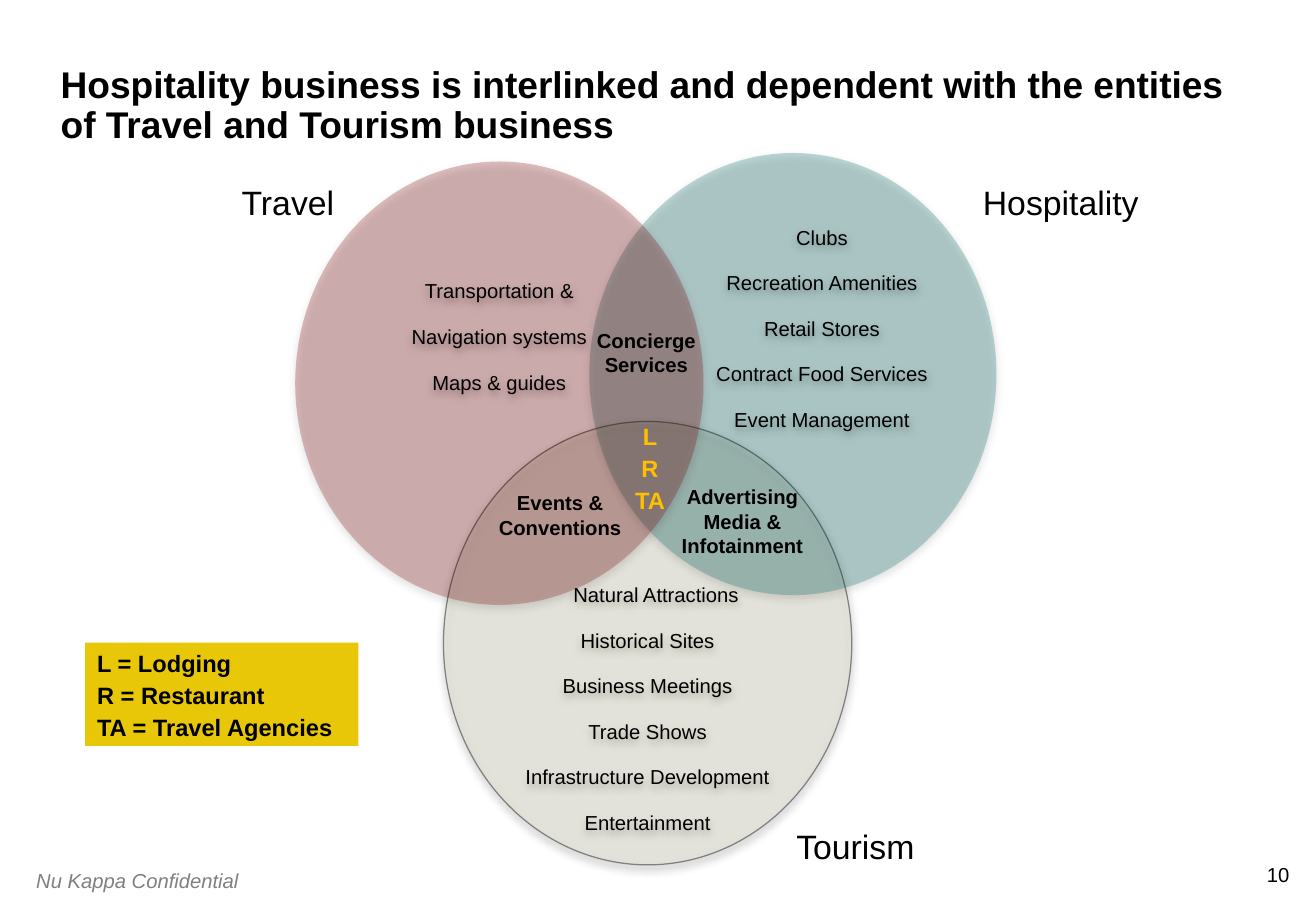
from lxml.etree import SubElement
from pptx import Presentation
from pptx.dml.color import RGBColor
from pptx.enum.shapes import MSO_SHAPE
from pptx.enum.text import MSO_ANCHOR, PP_ALIGN
from pptx.oxml.ns import qn
from pptx.util import Inches, Pt

COLORS = {"ink": "000000", "grey": "808080", "sand": "E2E1C0", "teal": "006666",
          "wine": "800000", "gold": "FFC000", "label": "E7C707"}


class Venn:
    """Holds the font, the colours and the current slide."""

    def __init__(self, slide, font="Arial"):
        self.slide = slide
        self.font = font

    def color(self, name):
        return RGBColor.from_string(COLORS[name])

    def letter(self, shape, lines, size, color="ink", bold=False, italic=False,
               align=PP_ALIGN.CENTER, gap=0, pad=(0.1, 0.05, 0.1, 0.05),
               anchor=MSO_ANCHOR.TOP, pitch=None):
        frame = shape.text_frame
        frame.word_wrap = True
        frame.vertical_anchor = anchor
        frame.margin_left, frame.margin_top, frame.margin_right, frame.margin_bottom = map(Inches, pad)
        for i, line in enumerate(lines):
            para = frame.add_paragraph() if i else frame.paragraphs[0]
            para.alignment = align
            if i:
                para.space_before = Pt(gap)
            if pitch:
                para.line_spacing = pitch
            run = para.add_run()
            run.text = line
            run.font.name = self.font
            run.font.size = Pt(size)
            run.font.bold = bold
            run.font.italic = italic
            run.font.color.rgb = self.color(color)
        return frame

    def text(self, box, lines, size, **style):
        shape = self.slide.shapes.add_textbox(*map(Inches, box))
        return self.letter(shape, lines, size, **style)

    def shape(self, kind, box, fill):
        shape = self.slide.shapes.add_shape(kind, *map(Inches, box))
        shape.shadow.inherit = False
        shape.fill.solid()
        shape.fill.fore_color.rgb = self.color(fill)
        shape.line.fill.background()
        return shape

    def circle(self, box, fill, lines, pad, edge=None):
        shape = self.shape(MSO_SHAPE.OVAL, box, fill)
        props = shape._element.spPr
        tint = props.find(qn("a:solidFill"))[0]
        SubElement(tint, qn("a:alpha"), val="25000")
        if edge:
            shape.line.color.rgb = self.color(edge)
            shape.line.width = Pt(0.75)
        shade = SubElement(props.find(qn("a:effectLst")), qn("a:outerShdw"),
                           blurRad=str(Pt(5)), dist=str(Pt(2)), dir="5400000", rotWithShape="0")
        black = SubElement(shade, qn("a:srgbClr"), val=COLORS["ink"])
        SubElement(black, qn("a:alpha"), val="43000")
        return self.letter(shape, lines, 12, gap=12.6, pad=pad)

    def legend(self, box, lines):
        shape = self.shape(MSO_SHAPE.RECTANGLE, box, "label")
        return self.letter(shape, lines, 14, bold=True, align=PP_ALIGN.LEFT, gap=2.2)


def main():
    """Build the slide and save it."""
    deck = Presentation()
    deck.slide_width, deck.slide_height = Inches(10.83), Inches(7.5)
    venn = Venn(deck.slides.add_slide(deck.slide_layouts[6]))

    venn.text((10.2, 7.1, 0.41, 0.2), ["10"], 12, align=PP_ALIGN.RIGHT, pad=(0, 0, 0, 0))
    venn.text((0.2, 7.1, 2, 0.3), ["Nu Kappa Confidential"], 12, color="grey",
              italic=True, align=PP_ALIGN.LEFT)

    sights = venn.circle((3.65, 3.47, 3.36, 3.65), "sand",
                         ["Natural Attractions", "Historical Sites", "Business Meetings",
                          "Trade Shows", "Infrastructure Development", "Entertainment"],
                         (0.05, 0.79, 0.05, 0.05), edge="grey")
    sights.paragraphs[0]._p.get_or_add_pPr().set("indent", str(Inches(0.14)))
    venn.circle((4.85, 1.26, 3.35, 3.64), "teal",
                ["Clubs", "Recreation Amenities", "Retail Stores",
                 "Contract Food Services", "Event Management"], (0.48, 0.06, 0, 0.05))
    venn.circle((2.43, 1.33, 3.36, 3.65), "wine",
                ["Transportation &", "Navigation systems", "Maps & guides"],
                (0.05, 0.43, 0.05, 0.05))

    venn.text((0.5, 0.42, 9.83, 0.92),
              ["Hospitality business is interlinked and dependent with the entities "
               "of Travel and Tourism business"], 22, bold=True, align=PP_ALIGN.LEFT,
              pad=(0, 0, 0, 0), anchor=MSO_ANCHOR.MIDDLE, pitch=0.9)

    for name, left, top, width in (("Travel", 1.67, 1.45, 1.4),
                                   ("Hospitality", 7.92, 1.45, 1.62),
                                   ("Tourism", 6.34, 6.75, 1.4)):
        venn.text((left, top, width, 0.44), [name], 20)

    for name, box in (("Events & Conventions", (3.91, 3.99, 1.4, 0.5)),
                      ("Concierge Services", (4.62, 2.65, 1.4, 0.5)),
                      ("Advertising Media & Infotainment", (5.5, 3.94, 1.22, 0.71))):
        venn.text(box, [name], 12, bold=True)

    venn.text((4.47, 3.42, 1.76, 0.85), ["L", "R", "TA"], 14, color="gold", bold=True, gap=2.2)
    venn.legend((0.7, 5.29, 2.25, 0.85),
                ["L = Lodging", "R = Restaurant", "TA = Travel Agencies"])
    deck.save("out.pptx")


if __name__ == "__main__":
    main()
